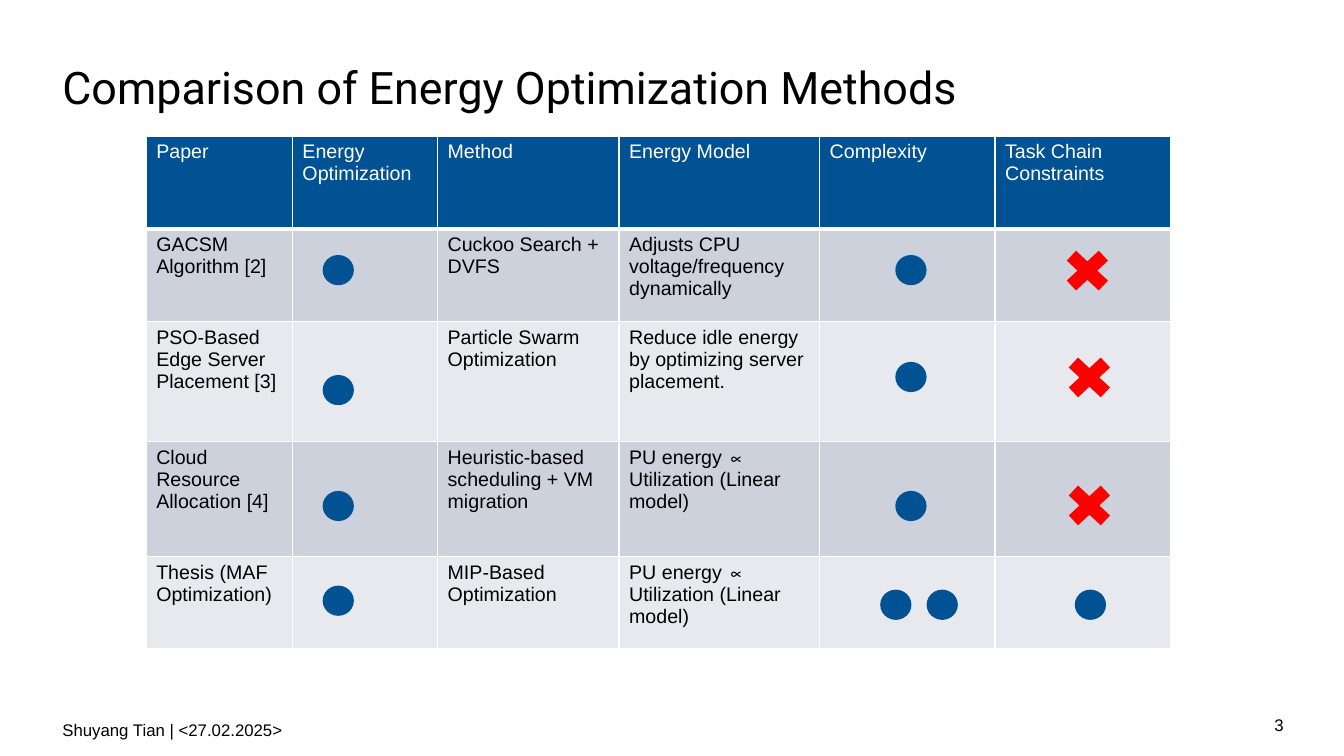
from lxml import etree
from pptx import Presentation
from pptx.dml.color import RGBColor
from pptx.enum.shapes import MSO_SHAPE
from pptx.enum.text import MSO_ANCHOR, PP_ALIGN
from pptx.oxml.ns import qn
from pptx.util import Inches, Pt

DOT, CROSS = MSO_SHAPE.OVAL, MSO_SHAPE.MATH_MULTIPLY
TOP, MIDDLE = MSO_ANCHOR.TOP, MSO_ANCHOR.MIDDLE
LEFT, RIGHT = PP_ALIGN.LEFT, PP_ALIGN.RIGHT

# Content
TITLE = "Comparison of Energy Optimization Methods"
FOOTER = "Shuyang Tian | <27.02.2025>"
PAGE_NUMBER = "3"
ROWS = [
    ["Paper", "Energy Optimization", "Method", "Energy Model", "Complexity", "Task Chain Constraints"],
    ["GACSM Algorithm [2]", "", "Cuckoo Search + DVFS",
     "Adjusts CPU voltage/frequency dynamically", "", ""],
    ["PSO-Based Edge Server Placement [3]", "", "Particle Swarm Optimization",
     "Reduce idle energy by optimizing server placement.", "", ""],
    ["Cloud Resource Allocation [4]", "", "Heuristic-based scheduling + VM migration",
     "PU energy ∝ Utilization (Linear model)", "", ""],
    ["Thesis (MAF Optimization)", "", "MIP-Based Optimization",
     "PU energy ∝ Utilization (Linear model)", "", ""],
]

# Layout in inches
SLIDE_SIZE = (13.33, 7.5)
TABLE_ORIGIN = (1.45, 1.35)
COLUMN_WIDTHS = [1.45, 1.44, 1.8, 1.99, 1.74, 1.74]
ROW_HEIGHTS = [0.92, 0.92, 1.19, 1.14, 0.92]
MARK_SIZES = {DOT: (0.31, 0.3), CROSS: (0.61, 0.57)}
MARKS = [  # shape, left, top
    *[(DOT, 3.2, top) for top in (2.53, 3.72, 4.87, 5.81)],
    *[(DOT, 8.88, top) for top in (2.53, 3.59, 4.87)],
    *[(DOT, left, 5.85) for left in (8.73, 9.19, 10.66)],
    (CROSS, 10.48, 2.4), (CROSS, 10.5, 3.46), (CROSS, 10.5, 4.73),
]

THEME = {
    "blue": "005293", "red": "FF0000", "white": "FFFFFF", "black": "000000",
    "bands": ("CCD1DC", "E7E9EE"),
    "title": {"size": Pt(32), "name": "Roboto"},
    "table": {"size": Pt(14), "name": "Arial"},
    "footer": {"size": Pt(12), "name": "Arial"},
    "rule": 1, "header_rule": 3,
}
MARK_COLORS = {DOT: THEME["blue"], CROSS: THEME["red"]}


def set_text(frame, text, style, color, align=LEFT, spacing=None):
    paragraph = frame.paragraphs[0]
    paragraph.alignment = align
    if spacing:
        paragraph.line_spacing = spacing
    run = paragraph.add_run()
    run.text = text
    for name, value in style.items():
        setattr(run.font, name, value)
    run.font.color.rgb = RGBColor.from_string(color)


def add_text(slide, box, text, style, anchor, align=LEFT, spacing=None):
    frame = slide.shapes.add_textbox(*map(Inches, box)).text_frame
    frame.word_wrap = True
    frame.vertical_anchor = anchor
    set_text(frame, text, style, THEME["black"], align, spacing)


def set_borders(cell, widths):
    """Draw white cell borders; they precede the fill in the cell properties."""
    properties = cell._tc.get_or_add_tcPr()
    for index, (side, width) in enumerate(widths.items()):
        line = etree.Element(qn(f"a:{side}"), w=str(Pt(width)))
        fill = etree.SubElement(line, qn("a:solidFill"))
        etree.SubElement(fill, qn("a:srgbClr"), val=THEME["white"])
        properties.insert(index, line)


def add_comparison_table(slide):
    size = (sum(COLUMN_WIDTHS), sum(ROW_HEIGHTS))
    table = slide.shapes.add_table(
        len(ROWS), len(COLUMN_WIDTHS), *map(Inches, TABLE_ORIGIN + size)).table
    for column, width in zip(table.columns, COLUMN_WIDTHS):
        column.width = Inches(width)
    for row, height in zip(table.rows, ROW_HEIGHTS):
        row.height = Inches(height)

    for row_index, texts in enumerate(ROWS):
        header = row_index == 0
        background = THEME["blue"] if header else THEME["bands"][(row_index - 1) % 2]
        color = THEME["white"] if header else THEME["black"]
        widths = dict.fromkeys(("lnL", "lnR", "lnT", "lnB"), THEME["rule"])
        if header:
            widths["lnB"] = THEME["header_rule"]
        elif row_index == 1:
            widths["lnT"] = THEME["header_rule"]
        for column_index, text in enumerate(texts):
            cell = table.cell(row_index, column_index)
            cell.fill.solid()
            cell.fill.fore_color.rgb = RGBColor.from_string(background)
            set_borders(cell, widths)
            if text:
                set_text(cell.text_frame, text, THEME["table"], color)


def add_mark(slide, kind, left, top):
    shape = slide.shapes.add_shape(kind, *map(Inches, (left, top, *MARK_SIZES[kind])))
    shape.shadow.inherit = False
    shape.fill.solid()
    shape.fill.fore_color.rgb = RGBColor.from_string(MARK_COLORS[kind])
    shape.line.fill.background()


def main():
    presentation = Presentation()
    presentation.slide_width, presentation.slide_height = map(Inches, SLIDE_SIZE)
    slide = presentation.slides.add_slide(presentation.slide_layouts[6])

    # Title and footer
    add_text(slide, (0.52, 0.4, 10.45, 0.79), TITLE, THEME["title"], MIDDLE, spacing=1.25)
    add_text(slide, (0.52, 7.04, 11.49, 0.39), FOOTER, THEME["footer"], MIDDLE)
    add_text(slide, (12.01, 7.04, 0.82, 0.39), PAGE_NUMBER, THEME["footer"], TOP, RIGHT)

    # Table with rating marks on top
    add_comparison_table(slide)
    for mark in MARKS:
        add_mark(slide, *mark)

    presentation.save("out.pptx")


if __name__ == "__main__":
    main()
